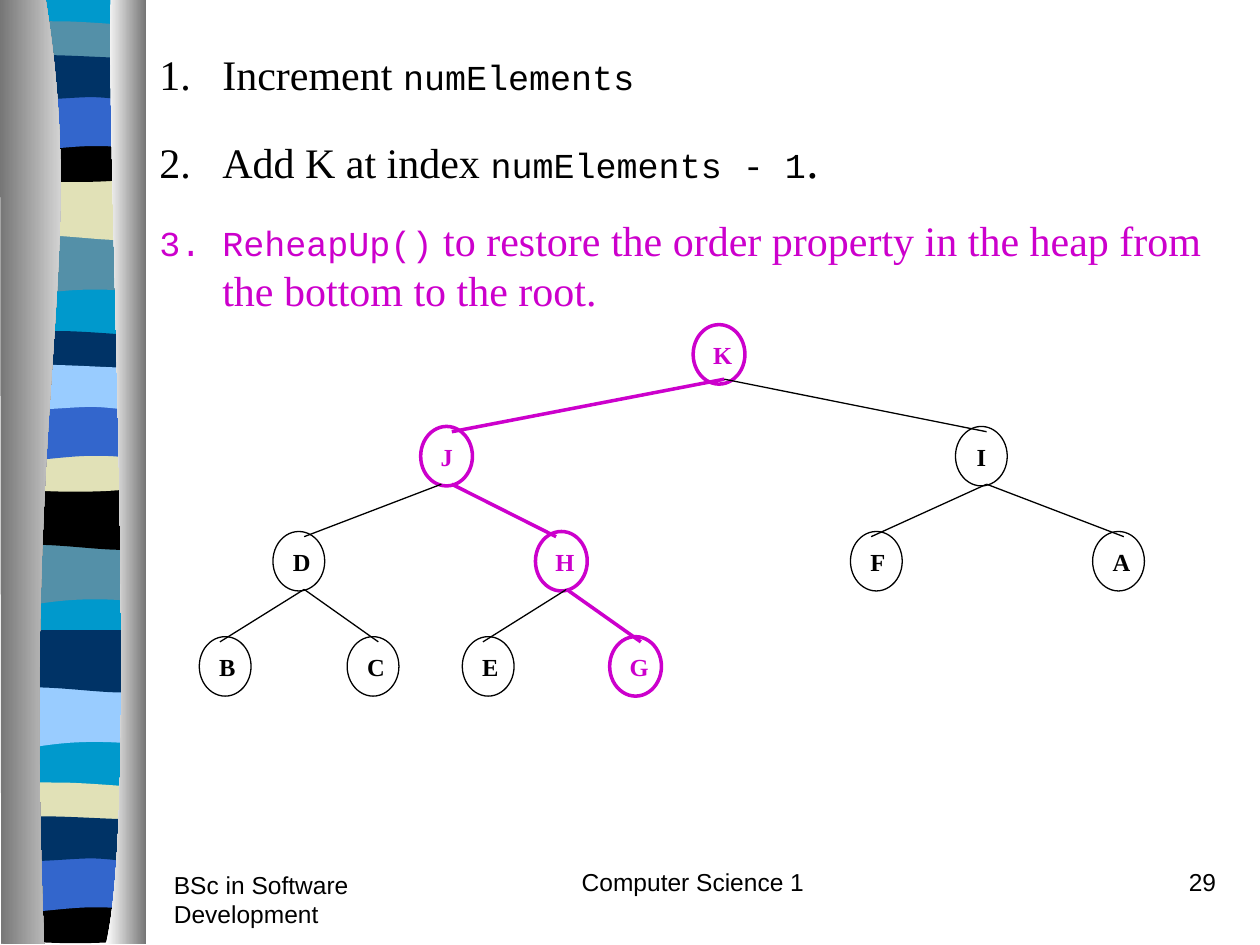
from lxml.etree import SubElement
from pptx import Presentation
from pptx.dml.color import RGBColor as RGB
from pptx.enum.shapes import MSO_CONNECTOR as Link, MSO_SHAPE as Kind
from pptx.enum.text import MSO_ANCHOR as Anchor, MSO_AUTO_SIZE as Fit, PP_ALIGN as Align
from pptx.oxml.ns import qn
from pptx.util import Pt

hues = {
    "black": "000000", "pink": "CC00CC", "cyan": "0099CC", "teal": "5490A8",
    "navy": "003366", "blue": "3366CC", "sand": "E1E1B7", "sky": "99CCFF",
    "gray": "767676", "white": "FFFFFF",
}
serif, mono, sans = "Times New Roman", "Courier New", "Arial"


def outline(moves, drop=0):
    pairs = [[(Pt(x), Pt(y + drop)) for x, y in zip(move[::2], move[1::2])]
             for move in moves]
    pen = slide.shapes.build_freeform(*pairs[0][0])
    pen.add_line_segments([spot for pair in pairs[1:] for spot in pair], close=True)
    shape = pen.convert_to_shape()
    lines = list(shape._element.iter(qn("a:lnTo")))
    for pair in pairs[1:]:
        group, lines = lines[:len(pair)], lines[len(pair):]
        if len(pair) == 3:
            group[0].tag = qn("a:cubicBezTo")
            for line in group[1:]:
                group[0].append(line[0])
                line.getparent().remove(line)
    shape.shadow.inherit = False
    shape.line.fill.background()
    return shape


deck = Presentation()
deck.slide_width, deck.slide_height = Pt(720), Pt(540)
slide = deck.slides.add_slide(deck.slide_layouts[6])

base = outline([(82, -0.7), (82, 538), (4.3, 538), (4.3, -0.7)])
base.fill.solid()
base.fill.fore_color.rgb = RGB.from_string(hues["cyan"])

wave = [(82, 133), (82, 167), (28, 161.5, 17.5, 173, 4.3, 167), (4.3, 133)]
flag = [(82, 101.5), (82, 135.5), (69, 141, 28, 131, 4.3, 135.5), (4.3, 101.5)]
hill = [(82, 15), (82, 32.5), (69, 35.3, 17.3, 35.3, 4.3, 32.5), (4.3, 15),
        (8.6, 11.5, 21, 12.2, 34, 12.2), (47, 12.2, 72, 14.4, 82, 15)]
bowl = [(82, 77.8), (82, 101), (69, 105, 17.3, 105, 4.3, 101), (4.3, 77.8),
        (52, 81.4, 65.5, 77.8, 82, 77.8)]
arch = [(82, 53.3), (82, 87), (70, 83.5, 65, 83.5, 52, 83.5),
        (39, 83.5, 16, 87, 4.3, 87), (4.3, 53.3)]
roll = [(82, 33), (82, 55.5), (77, 59, 65, 55.5, 52, 55.5),
        (39, 55.5, 12, 59, 4.3, 55.5), (4.3, 33),
        (15, 29.5, 57, 33, 70, 33), (83, 33, 79, 33, 82, 33)]
bands = [
    (wave, 258.5, ("teal", "teal", "sky")), (flag, 258.5, ("sand", "black", "navy")),
    (hill, 435, ("teal", "navy", "sand")), (bowl, 435, ("black", "sand", "black")),
    (arch, 435, ("blue", "blue", "blue")), (roll, 435, ("navy", "sky", "navy")),
]
for turn in range(3):
    for moves, last, tints in bands:
        stripe = outline(moves, (0, 177, last)[turn])
        stripe.fill.solid()
        stripe.fill.fore_color.rgb = RGB.from_string(hues[tints[turn]])

pillars = [
    ([(26, -0.7), (51, 155.5, 12.2, 213, 25.2, 539.3), (0.7, 539.3), (0, -0.7)],
     "gray", "white"),
    ([(63.4, -0.7), (60.5, 90, 80, 465, 60.5, 539.3), (83.5, 539.3), (83.5, 0)],
     "white", "gray"),
]
for moves, start, end in pillars:
    pillar = outline(moves)
    pillar.fill.gradient()
    pillar.fill.gradient_angle = 0
    for stop, hue in zip(pillar.fill.gradient_stops, (start, end)):
        stop.color.rgb = RGB.from_string(hues[hue])

steps = [
    ("black", 12.5, [("Increment ", 24, serif), ("numElements", 20, mono)]),
    ("black", 17.5, [("Add K at index ", 24, serif), ("numElements - 1", 20, mono),
                     (".", 28, serif)]),
    ("pink", 15, [("ReheapUp()", 20, mono),
                  (" to restore the order property in the heap from the bottom to the root.",
                   24, serif)]),
]
frame = slide.shapes.add_textbox(Pt(84), Pt(24), Pt(612), Pt(160)).text_frame
frame.word_wrap = True
frame.auto_size = Fit.SHAPE_TO_FIT_TEXT
for n, (hue, gap, runs) in enumerate(steps):
    para = frame.add_paragraph() if n else frame.paragraphs[0]
    para.space_before = Pt(gap)
    props = para._p.get_or_add_pPr()
    props.set("marL", str(Pt(36)))
    props.set("indent", str(-Pt(36)))
    tint = SubElement(props, qn("a:buClr"))
    SubElement(tint, qn("a:srgbClr"), val=hues[hue])
    SubElement(props, qn("a:buAutoNum"), type="arabicPeriod")
    for words, size, face in runs:
        run = para.add_run()
        run.text = words
        run.font.size, run.font.name = Pt(size), face
        run.font.color.rgb = RGB.from_string(hues[hue])

rows = [185.5, 243.7, 303.7, 363.8]
nodes = {
    "K": (410.9, 0, "pink"), "J": (255.2, 1, "pink"), "I": (560.8, 1, "black"),
    "D": (170.8, 2, "black"), "H": (320.8, 2, "pink"), "F": (500.8, 2, "black"),
    "A": (639.2, 2, "black"), "B": (128.7, 3, "black"), "C": (213.2, 3, "black"),
    "E": (279, 3, "black"), "G": (363.2, 3, "pink"),
}
widths = {"black": 0.75, "pink": 2}
for name, (mid, row, hue) in nodes.items():
    node = slide.shapes.add_shape(
        Kind.OVAL, Pt(mid - 14.8), Pt(rows[row]), Pt(29.6), Pt(34))
    node.shadow.inherit = False
    node.fill.background()
    node.line.color.rgb = RGB.from_string(hues[hue])
    node.line.width = Pt(widths[hue])
    frame = node.text_frame
    frame.word_wrap = True
    frame.auto_size = Fit.SHAPE_TO_FIT_TEXT
    frame.vertical_anchor = Anchor.MIDDLE
    para = frame.paragraphs[0]
    para.alignment = Align.CENTER
    run = para.add_run()
    run.text = name
    run.font.size, run.font.name, run.font.bold = Pt(14), serif, True
    run.font.color.rgb = RGB.from_string(hues[hue])

edges = [
    ("K", "J", 3, 3), ("J", "D", -3, 3), ("D", "B", 3, -3), ("H", "E", 3, -3),
    ("K", "I", 3, 3), ("J", "H", 3, -3), ("D", "C", 3, 3), ("I", "A", 3, 3),
    ("I", "F", 3, -3), ("H", "G", 3, 3),
]
for head, kid, out, into in edges:
    mid, row, hue = nodes[kid]
    edge = slide.shapes.add_connector(
        Link.STRAIGHT, Pt(nodes[head][0] + out), Pt(rows[row] - 27),
        Pt(mid + into), Pt(rows[row] + 3))
    edge.line.color.rgb = RGB.from_string(hues[hue])
    edge.line.width = Pt(widths[hue])
    SubElement(edge._element.spPr, qn("a:effectLst"))

notes = [
    ("Computer Science 1", 282, 492, 228, Align.CENTER),
    ("29", 552, 492, 150, Align.RIGHT),
    ("BSc in Software Development", 92.3, 493.5, 150, Align.LEFT),
]
for words, left, top, wide, side in notes:
    frame = slide.shapes.add_textbox(Pt(left), Pt(top), Pt(wide), Pt(36)).text_frame
    frame.word_wrap = True
    para = frame.paragraphs[0]
    para.alignment = side
    para.space_before = Pt(8.8)
    run = para.add_run()
    run.text = words
    run.font.size, run.font.name = Pt(14), sans
    run.font.color.rgb = RGB.from_string(hues["black"])

deck.save("out.pptx")
